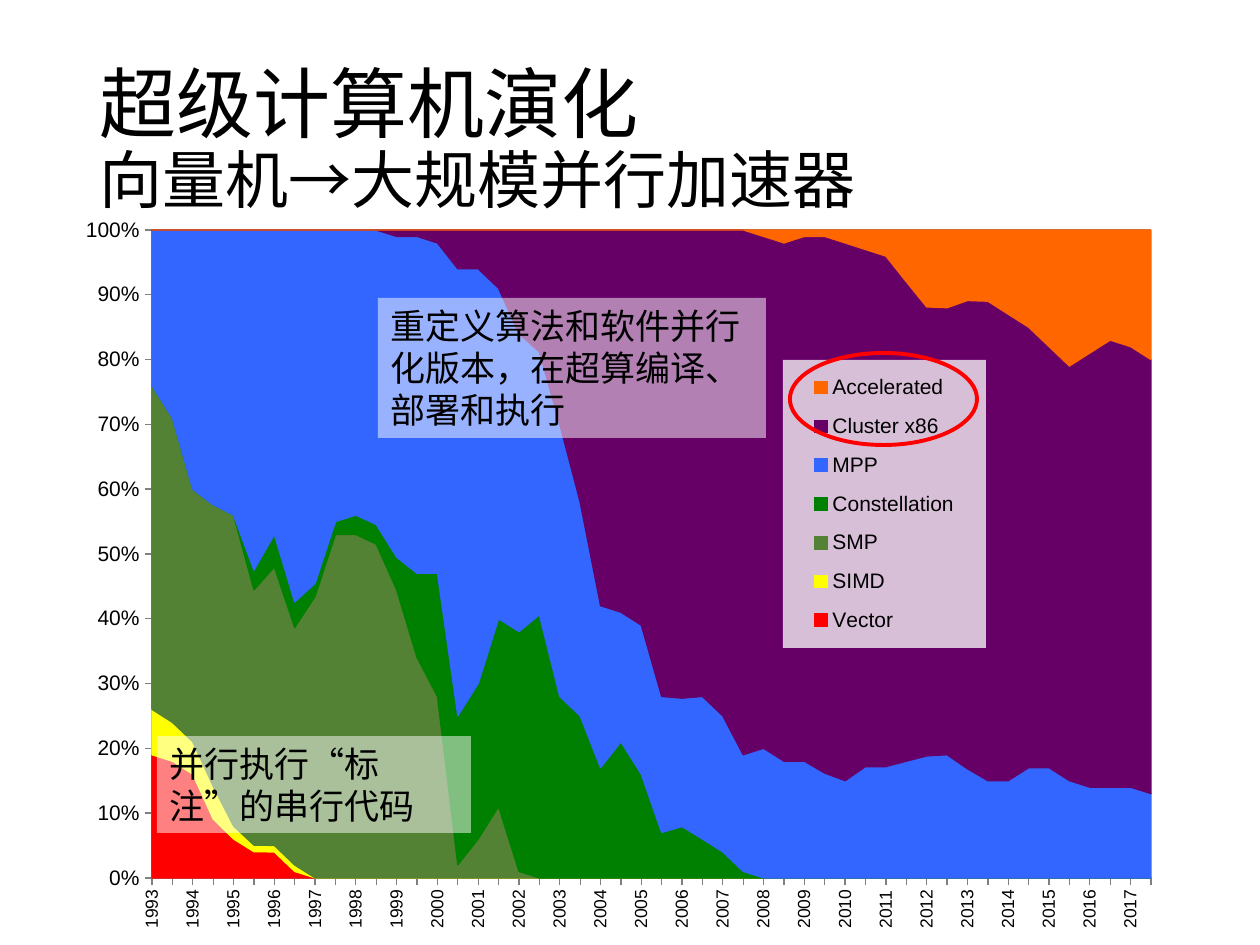
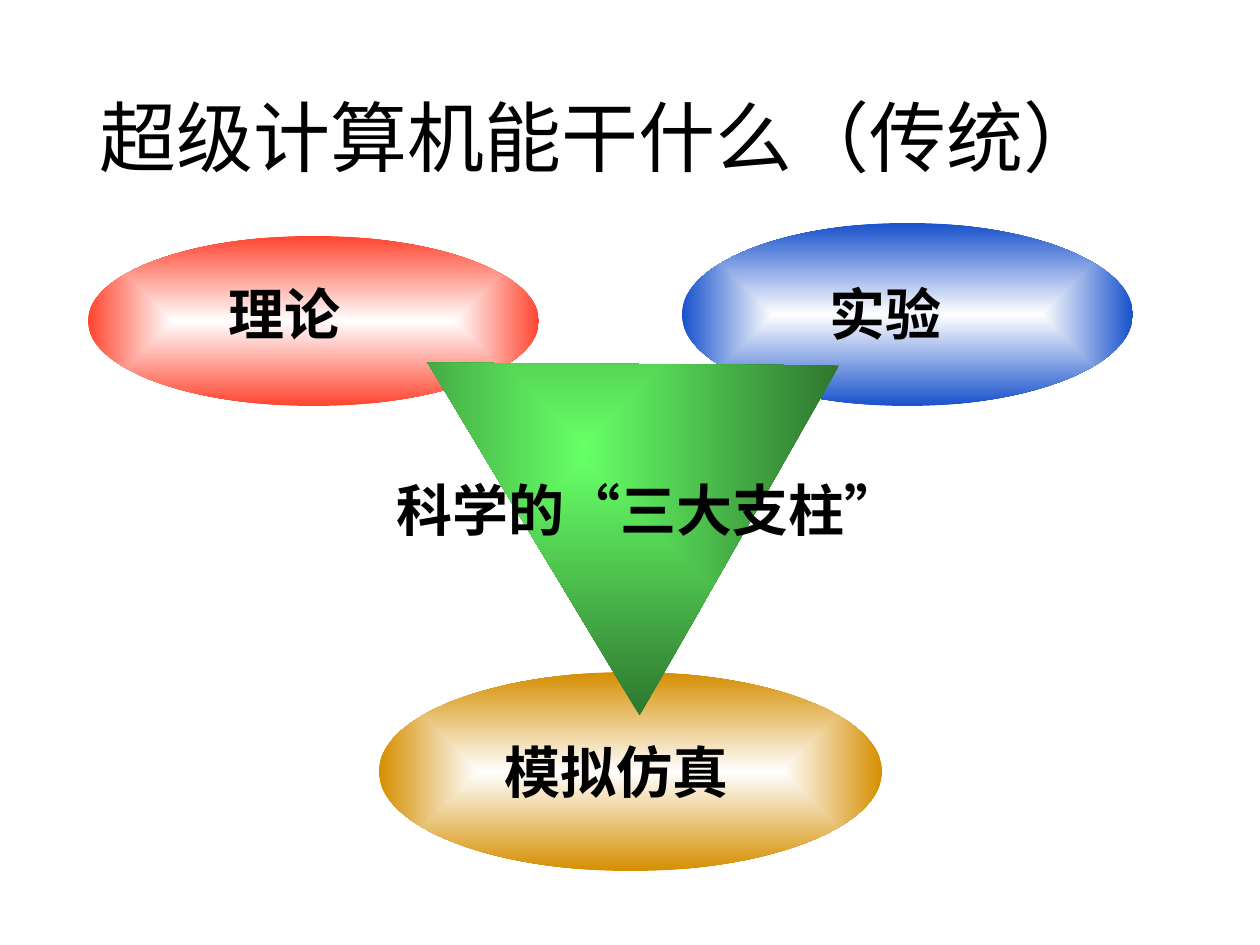
from lxml import etree
from pptx import Presentation
from pptx.chart.data import CategoryChartData
from pptx.dml.color import RGBColor
from pptx.enum.chart import XL_CHART_TYPE, XL_LEGEND_POSITION, XL_TICK_MARK
from pptx.enum.shapes import MSO_SHAPE
from pptx.enum.text import MSO_ANCHOR, MSO_AUTO_SIZE, PP_ALIGN
from pptx.oxml import parse_xml
from pptx.oxml.ns import nsdecls, qn
from pptx.util import Pt

# Theme: colours, fonts and type sizes
THEME = {
    "text": "000000", "panel": "FFFFFF", "mark": "FF0000", "axis": "808080",
    "font": "Arial", "font2": "Montserrat",
    "title": 44, "subtitle": 36, "pillar": 32, "note": 20, "legend": 12, "years": 10,
}

# Slide 1 content; boxes are left, top, width, height in px
EVOLUTION_TITLE = [("超级计算机演化", THEME["title"]), ("向量机→大规模并行加速器", THEME["subtitle"])]
YEARS = range(1993, 2018)
CHART_BOX = (63, 199, 1144, 740)
PLOT_BOX = (152, 230, 999, 648)
LEGEND_BOX = (783, 360, 203, 288)
RING_BOX = (790, 353, 187, 92)
# name, colour, half-years before the first value, filler, values
SERIES = [
    ("Vector", "FF0000", 0, 0, [19, 18, 16, 9, 6, 4, 4, 1]),
    ("SIMD", "FFFF00", 0, 0, [7, 6, 5, 5, 2, 1, 1, 1]),
    ("SMP", "548235", 0, 0, [50, 47, 39, 43, 48, 39, 43, 37, 43, 53, 53, 51, 44, 34,
                             28, 2, 6, 11, 1]),
    ("Constellation", "008000", 5, 0, [3, 5, 4, 2, 2, 3, 3, 5, 13, 19, 23, 24, 29, 37,
                                       41, 28, 25, 17, 21, 16, 7, 8, 6, 4, 1]),
    ("MPP", "3366FF", 0, 0, [24, 29, 40, 42, 44, 52, 47, 58, 54, 45, 44, 45, 49, 52, 51,
                             69, 64, 51, 46, 41, 42, 33, 25, 20, 23, 21, 20, 22, 21, 18,
                             20, 18, 18, 16, 15, 17, 17, 18, 19, 19, 17, 15, 15, 17, 17,
                             15, 14, 14, 14, 13]),
    ("Cluster x86", "660066", 12, 0, [1, 1, 2, 6, 6, 9, 16, 19, 30, 42, 58, 59, 61, 72,
                                      73, 72, 75, 81, 79, 80, 81, 82, 83, 79, 78, 74, 70,
                                      69, 73, 74, 72, 68, 65, 64, 67, 69, 68, 67]),
    ("Accelerated", "FF6600", 26, None, [0, 0, 0, 0, 1, 2, 1, 1, 2, 3, 4, 8, 12, 12, 11,
                                         11, 13, 15, 18, 21, 19, 17, 18, 20]),
]
NOTES = [
    ("并行执行“标注”的串行代码", (157, 736, 314, 97)),
    ("重定义算法和软件并行化版本，在超算编译、部署和执行", (378, 298, 388, 140)),
]

# Slide 2 content: ellipse box and colour; label text, box and indent
USES_TITLE = [("超级计算机能干什么（传统）", THEME["title"])]
EXPERIMENT = ((682, 223, 451, 183), "1851CC")
THEORY = ((88, 236, 451, 170), "FF4530")
SIMULATION = ((379, 672, 503, 199), "D58E00")
SIMULATION_LABEL = ("模拟仿真", (467, 731, 392, 89), 25)
PILLAR_LABELS = [("理论", (141, 273, 310, 60), 75), ("实验", (704, 273, 406, 62), 113)]
CENTRE_LABEL = ("科学的“三大支柱”", (334, 469, 606, 60), 50)
TRIANGLE_BOX, TRIANGLE_TURN = (382, 272, 403, 359), 299.7
TRIANGLE_COLOURS = ("66FF66", "2F762F")

TITLE_BOX = (87, 50, 1086, 183)


def px(n):
    return round(n * 914400 / 126)


def emu(box):
    return [px(n) for n in box]


def rgb(name):
    return RGBColor.from_string(THEME.get(name, name))


def style(font, size, name=THEME["font"], bold=False):
    for key, value in {"size": Pt(size), "name": name, "bold": bold}.items():
        setattr(font, key, value)
    font.color.rgb = rgb("text")


def title(s, lines, name=THEME["font"]):
    sp = s.shapes.title
    for key, value in zip(("left", "top", "width", "height"), emu(TITLE_BOX)):
        setattr(sp, key, value)
    tf = sp.text_frame
    for key, value in {"word_wrap": True, "auto_size": MSO_AUTO_SIZE.NONE,
                       "vertical_anchor": MSO_ANCHOR.MIDDLE}.items():
        setattr(tf, key, value)
    p = tf.paragraphs[0]
    p.alignment, p.line_spacing = PP_ALIGN.LEFT, 0.9
    for i, (text, size) in enumerate(lines):
        if i:
            p.add_line_break()
        r = p.add_run()
        r.text = text
        style(r.font, size, name)


def shape(shapes, kind, box):
    sp = shapes.add_shape(kind, *emu(box))
    sp.shadow.inherit = False
    sp.fill.background()
    sp.line.fill.background()
    return sp


def write(sp, text, size, bold=False, indent=0):
    tf = sp.text_frame
    tf.word_wrap, tf.vertical_anchor = True, MSO_ANCHOR.TOP
    p = tf.paragraphs[0]
    p.alignment = PP_ALIGN.LEFT
    if indent:
        p._p.get_or_add_pPr().set("marL", str(px(indent)))
    r = p.add_run()
    r.text = text
    style(r.font, size, bold=bold)


def note(s, text, box):
    sp = shape(s.shapes, MSO_SHAPE.RECTANGLE, box)
    sp.fill.solid()
    sp.fill.fore_color.rgb = rgb("panel")
    colour = sp._element.spPr.find(qn("a:solidFill"))[0]
    etree.SubElement(colour, qn("a:alpha")).set("val", "50000")
    write(sp, text, THEME["note"])


def glow(shapes, kind, box, inner, outer):
    """Shape with a gradient that runs from its centre to its edge."""
    sp = shape(shapes, kind, box)
    fill = parse_xml(
        f'<a:gradFill {nsdecls("a")} rotWithShape="0"><a:gsLst>'
        f'<a:gs pos="0"><a:srgbClr val="{inner}"/></a:gs>'
        f'<a:gs pos="100000"><a:srgbClr val="{outer}"/></a:gs></a:gsLst>'
        '<a:path path="shape"><a:fillToRect l="50000" t="50000" r="50000" b="50000"/>'
        '</a:path></a:gradFill>')
    old = sp._element.spPr.find(qn("a:noFill"))
    old.getparent().replace(old, fill)
    return sp


def pillar(shapes, box, colour):
    glow(shapes, MSO_SHAPE.OVAL, box, THEME["panel"], colour)


def label(shapes, text, box, indent):
    write(shapes.add_textbox(*emu(box)), text, THEME["pillar"], True, indent)


def place(part, box, index, inner=False):
    """Give a chart part a fixed place inside the chart."""
    for old in part.findall(qn("c:layout")):
        part.remove(old)
    left, top, width, height = CHART_BOX
    spots = {"x": (box[0] - left) / width, "y": (box[1] - top) / height,
             "w": box[2] / width, "h": box[3] / height}
    target = '<c:layoutTarget val="inner"/>' if inner else ""
    values = "".join(f'<c:{k} val="{v:.4f}"/>' for k, v in spots.items())
    part.insert(index, parse_xml(
        f'<c:layout {nsdecls("c")}><c:manualLayout>{target}<c:xMode val="edge"/>'
        f'<c:yMode val="edge"/>{values}</c:manualLayout></c:layout>'))


def share_chart(s):
    data = CategoryChartData()
    data.categories = [text for year in YEARS for text in (str(year), "")]
    count = 2 * len(YEARS)
    for name, _, start, filler, values in SERIES:
        tail = count - start - len(values)
        data.add_series(name, [filler] * start + values + [filler] * tail)
    chart = s.shapes.add_chart(XL_CHART_TYPE.AREA_STACKED_100, *emu(CHART_BOX), data).chart
    chart.has_title = False
    style(chart.font, THEME["years"])
    for series, (_, colour, *_) in zip(chart.plots[0].series, SERIES):
        series.format.fill.solid()
        series.format.fill.fore_color.rgb = rgb(colour)
        series.format.line.color.rgb = rgb(colour)
        series.format.line.width = Pt(0.75)

    # Axes
    years, shares = chart.category_axis, chart.value_axis
    for axis, size, fmt in ((years, THEME["years"], "0"), (shares, THEME["legend"], "0%")):
        axis.major_tick_mark, axis.minor_tick_mark = XL_TICK_MARK.OUTSIDE, XL_TICK_MARK.NONE
        axis.format.line.color.rgb = rgb("axis")
        style(axis.tick_labels.font, size)
        axis.tick_labels.number_format = fmt
        axis.tick_labels.number_format_is_linked = False
    years.has_major_gridlines, shares.has_major_gridlines = False, True
    shares.major_gridlines.format.line.color.rgb = rgb("axis")
    shares.minimum_scale, shares.maximum_scale, shares.major_unit = 0, 1, 0.1
    for body in years._element.xpath("c:txPr/a:bodyPr"):
        body.set("rot", "-5400000")
        body.set("vert", "horz")
    for offset in years._element.xpath("c:lblOffset"):
        for tag in ("tickMarkSkip", "tickLblSkip"):
            offset.addnext(parse_xml(f'<c:{tag} {nsdecls("c")} val="1"/>'))
    for cross in shares._element.xpath("c:crossBetween"):
        cross.set("val", "midCat")

    # Legend over the plot
    chart.has_legend = True
    legend = chart.legend
    legend.position, legend.include_in_layout = XL_LEGEND_POSITION.RIGHT, True
    style(legend.font, THEME["legend"])
    place(legend._element, LEGEND_BOX, 1)
    legend._element.find(qn("c:overlay")).addnext(parse_xml(
        f'<c:spPr {nsdecls("c", "a")}><a:solidFill><a:srgbClr val="{THEME["panel"]}">'
        '<a:alpha val="75000"/></a:srgbClr></a:solidFill></c:spPr>'))
    place(chart._chartSpace.chart.plotArea, PLOT_BOX, 0, inner=True)


def evolution_slide(prs):
    s = prs.slides.add_slide(prs.slide_layouts[5])
    title(s, EVOLUTION_TITLE)
    share_chart(s)
    for text, box in NOTES:
        note(s, text, box)
    ring = shape(s.shapes, MSO_SHAPE.OVAL, RING_BOX)
    ring.line.color.rgb = rgb("mark")
    ring.line.width = Pt(2.25)


def uses_slide(prs):
    s = prs.slides.add_slide(prs.slide_layouts[5])
    title(s, USES_TITLE, THEME["font2"])
    for box, colour in (EXPERIMENT, THEORY):
        pillar(s.shapes, box, colour)
    group = s.shapes.add_group_shape()
    pillar(group.shapes, *SIMULATION)
    label(group.shapes, *SIMULATION_LABEL)
    for item in PILLAR_LABELS:
        label(s.shapes, *item)
    triangle = glow(s.shapes, MSO_SHAPE.ISOSCELES_TRIANGLE, TRIANGLE_BOX, *TRIANGLE_COLOURS)
    triangle.rotation = TRIANGLE_TURN
    label(s.shapes, *CENTRE_LABEL)


def main():
    prs = Presentation()
    prs.slide_width, prs.slide_height = px(1260), px(945)
    evolution_slide(prs)
    uses_slide(prs)
    prs.save("out.pptx")


if __name__ == "__main__":
    main()
